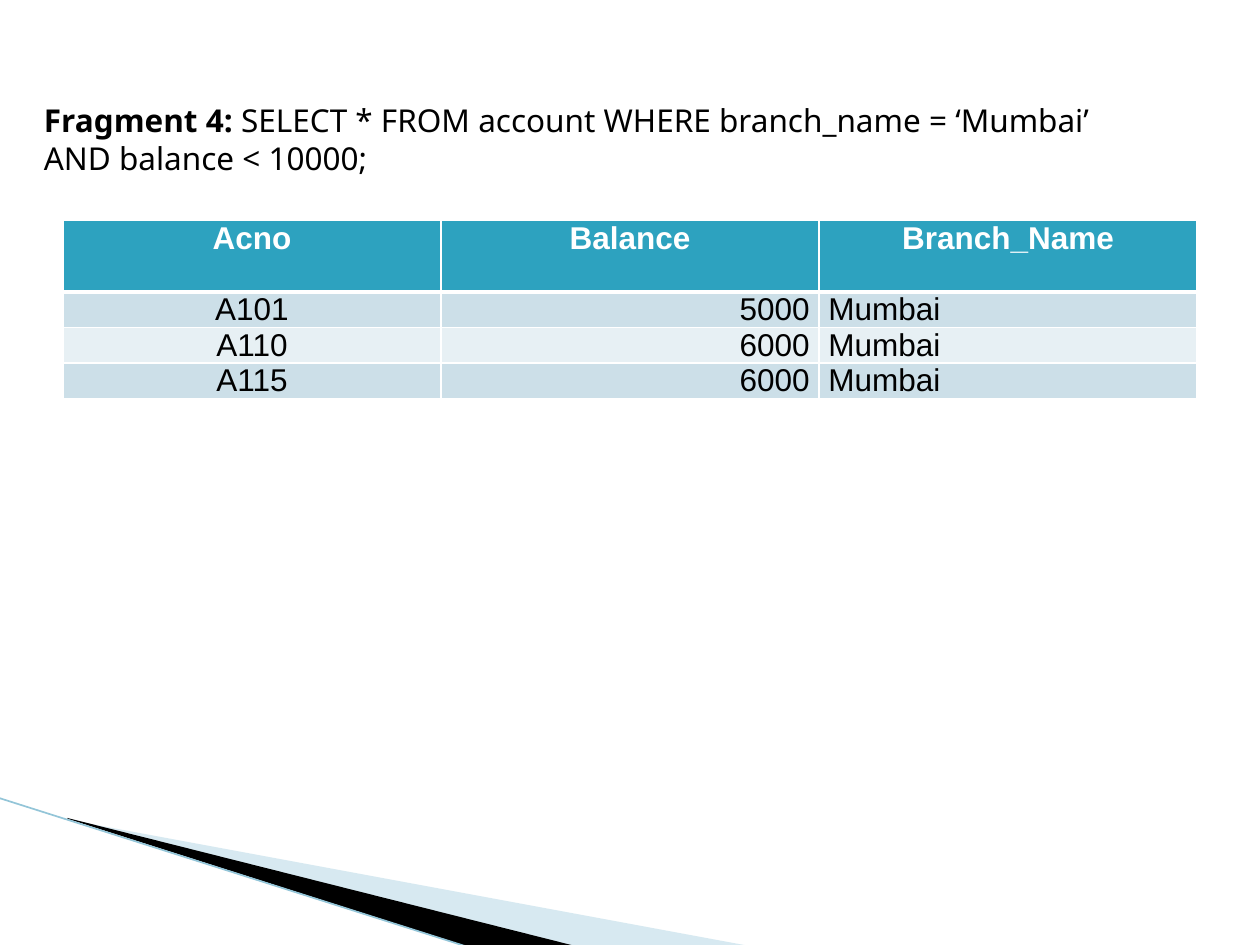
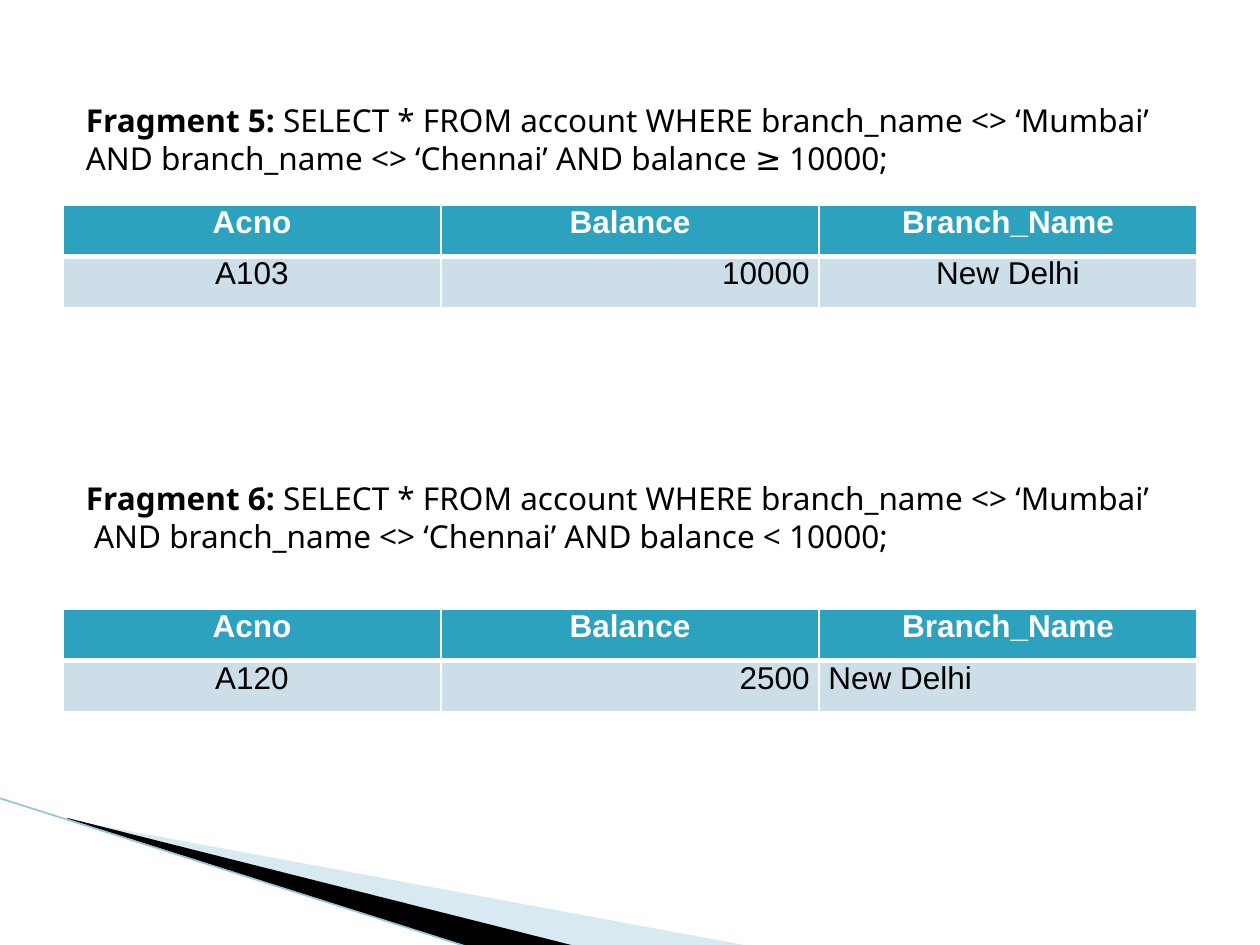
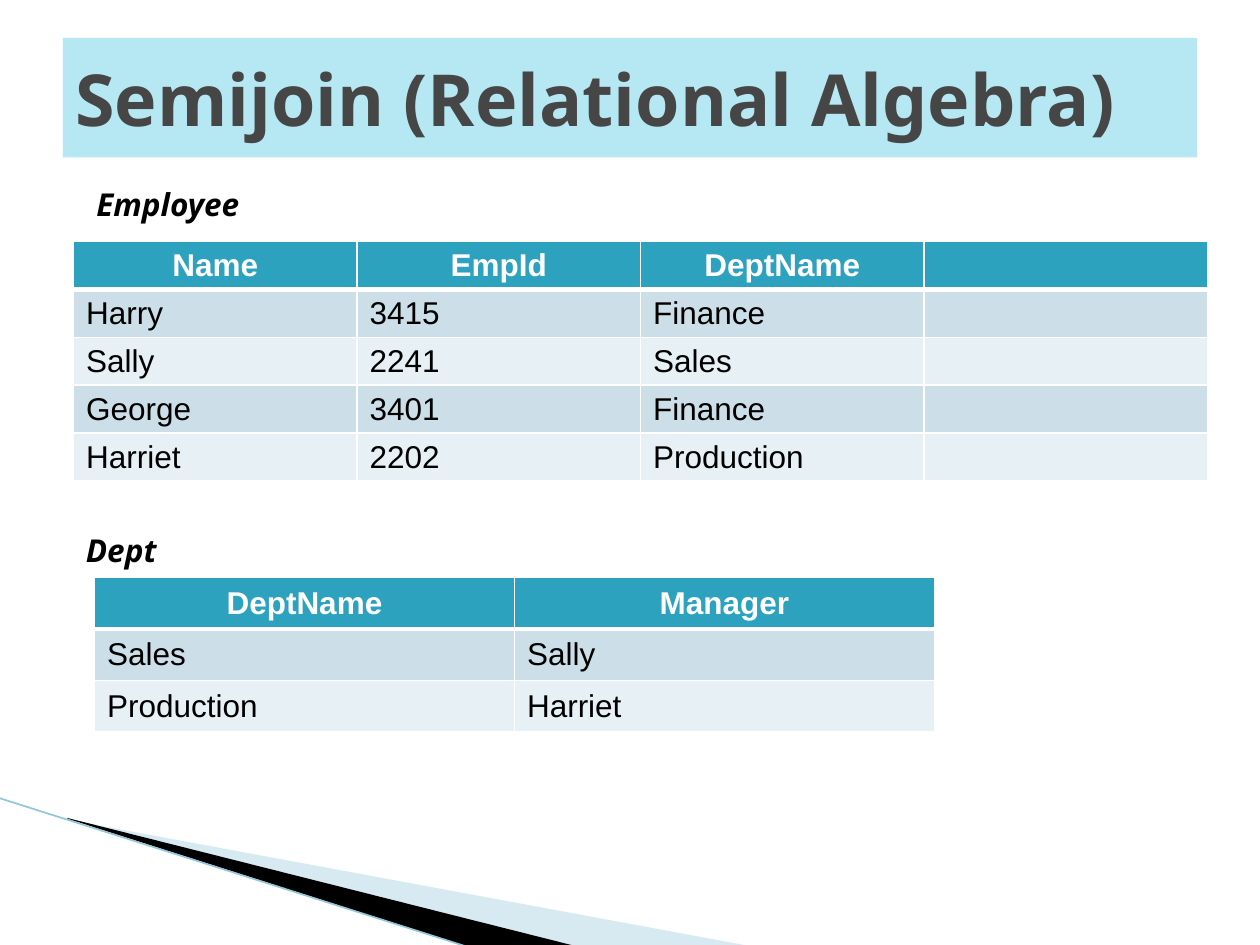
from dataclasses import dataclass

from lxml.etree import SubElement
from pptx import Presentation
from pptx.dml.color import RGBColor
from pptx.enum.shapes import MSO_CONNECTOR, MSO_SHAPE
from pptx.enum.text import MSO_ANCHOR, PP_ALIGN
from pptx.oxml.ns import qn
from pptx.slide import Slide
from pptx.table import _Cell
from pptx.text.text import TextFrame, _Paragraph
from pptx.util import Emu, Pt

PX = 7620  # 120 px to the inch
WIDTH, HEIGHT = 1200, 900

LEFT, CENTER, RIGHT = PP_ALIGN.LEFT, PP_ALIGN.CENTER, PP_ALIGN.RIGHT


@dataclass(frozen=True)
class Theme:
    text: str = "000000"
    title: str = "464646"
    title_band: str = "B5E8F3"
    header: str = "2DA2BF"
    header_text: str = "FFFFFF"
    rows: tuple[str, str] = ("CCDFE8", "E7F0F4")
    rule: str = "FFFFFF"
    wedge_light: str = "9CCADC"
    wedge_dark: str = "000000"
    wedge_edge: str = "93C5D8"
    text_font: str = "Noto Sans"
    table_font: str = "Arial"
    body_size: int = 18
    title_size: int = 41
    thin: int = 1
    thick: int = 3


THEME = Theme()


@dataclass(frozen=True)
class Box:
    x: int
    y: int
    w: int
    h: int

    def emu(self) -> tuple[Emu, ...]:
        return tuple(px(v) for v in (self.x, self.y, self.w, self.h))


@dataclass(frozen=True)
class Query:
    box: Box
    name: str
    lines: tuple[str, str]


@dataclass(frozen=True)
class Caption:
    box: Box
    text: str


@dataclass(frozen=True)
class Grid:
    x: int
    y: int
    col_width: int
    row_heights: tuple[int, ...]
    rows: tuple[tuple[str, ...], ...]
    aligns: tuple[PP_ALIGN, ...]
    margins: tuple[int, int] = (9, 0)
    anchor: MSO_ANCHOR = MSO_ANCHOR.TOP


@dataclass(frozen=True)
class Wedge:
    """A filled outline; its points may reach beyond its frame."""
    frame: Box
    points: tuple[tuple[int, int], ...]
    color: str
    opacity: int = 100


WEDGES = (
    Wedge(Box(94, 656, 499, 190), ((66, 781), (714, 901), (547, 901), (66, 780)),
          THEME.wedge_light, 40),
    Wedge(Box(-7, 760, 499, 110), ((64, 779), (548, 901), (447, 902), (65, 780)),
          THEME.wedge_dark),
)
WEDGE_EDGE = ((-1, 760), (446, 902))

ACCOUNT = ("Acno", "Balance", "Branch_Name")
ACCOUNT_ALIGNS = (CENTER, RIGHT, LEFT)

FRAGMENT_SLIDES = (
    (
        Grid(60, 210, 360, (68, 34, 34, 34),
             (ACCOUNT, ("A101", "5000", "Mumbai"), ("A110", "6000", "Mumbai"),
              ("A115", "6000", "Mumbai")), ACCOUNT_ALIGNS),
        Query(Box(30, 90, 1068, 85), "Fragment 4:",
              (" SELECT * FROM account WHERE branch_name = ‘Mumbai’",
               "AND balance < 10000;")),
    ),
    (
        Grid(60, 195, 360, (49, 49), (ACCOUNT, ("A103", "10000", "New Delhi")),
             (CENTER, RIGHT, CENTER)),
        Query(Box(70, 90, 1092, 85), "Fragment 5:",
              (" SELECT * FROM account WHERE branch_name <> ‘Mumbai’",
               "AND branch_name <> ‘Chennai’ AND balance ≥ 10000;")),
        Query(Box(70, 450, 1082, 157), "Fragment 6:",
              (" SELECT * FROM account WHERE branch_name <> ‘Mumbai’",
               " AND branch_name <> ‘Chennai’ AND balance < 10000;")),
        Grid(60, 580, 360, (49, 49), (ACCOUNT, ("A120", "2500", "New Delhi")),
             ACCOUNT_ALIGNS),
    ),
)

TITLE = Caption(Box(60, 36, 1080, 114), "Semijoin (Relational Algebra)")
SEMIJOIN_ITEMS = (
    Grid(70, 230, 270, (45,) * 5,
         (("Name", "EmpId", "DeptName", ""),
          ("Harry", "3415", "Finance", ""),
          ("Sally", "2241", "Sales", ""),
          ("George", "3401", "Finance", ""),
          ("Harriet", "2202", "Production", "")),
         (LEFT,) * 4, (12, 6)),
    Grid(90, 550, 400, (49,) * 3,
         (("DeptName", "Manager"), ("Sales", "Sally"), ("Production", "Harriet")),
         (LEFT,) * 2, (12, 6), MSO_ANCHOR.MIDDLE),
    Caption(Box(80, 170, 167, 48), "Employee"),
    Caption(Box(70, 500, 95, 48), "Dept"),
)


def px(value: int) -> Emu:
    return Emu(value * PX)


def rgb(color: str) -> RGBColor:
    return RGBColor.from_string(color)


def set_font(p: _Paragraph, name: str, color: str, size: int = THEME.body_size,
             bold: bool | None = None, italic: bool | None = None) -> None:
    font = p.font
    font.name, font.size, font.bold, font.italic = name, Pt(size), bold, italic
    font.color.rgb = rgb(color)


def add_wedge(s: Slide, wedge: Wedge) -> None:
    start, *rest = wedge.points
    builder = s.shapes.build_freeform(*start, scale=PX)
    builder.add_line_segments(rest, close=True)
    sp = builder.convert_to_shape()
    sp.shadow.inherit = False
    sp.fill.solid()
    sp.fill.fore_color.rgb = rgb(wedge.color)
    sp.line.fill.background()
    spPr = sp._element.spPr
    if wedge.opacity < 100:
        color = spPr.find(qn("a:solidFill"))[0]
        SubElement(color, qn("a:alpha"), val=str(wedge.opacity * 1000))

    frame = wedge.frame
    sp.left, sp.top, sp.width, sp.height = frame.emu()
    outline = next(spPr.iter(qn("a:path")))
    outline.set("w", str(frame.w))
    outline.set("h", str(frame.h))
    for pt, (x, y) in zip(outline.iter(qn("a:pt")), wedge.points):
        pt.set("x", str(x - frame.x))
        pt.set("y", str(y - frame.y))


def add_corner(s: Slide) -> None:
    """Draw the wedges and the edge line at the foot of every slide."""
    for wedge in WEDGES:
        add_wedge(s, wedge)
    ends = [px(v) for point in WEDGE_EDGE for v in point]
    edge = s.shapes.add_connector(MSO_CONNECTOR.STRAIGHT, *ends)
    edge.line.color.rgb = rgb(THEME.wedge_edge)
    edge.line.width = Pt(0.95)
    SubElement(edge._element.spPr, qn("a:effectLst"))


def add_text_box(s: Slide, box: Box) -> TextFrame:
    tf = s.shapes.add_textbox(*box.emu()).text_frame
    tf.word_wrap = True
    return tf


def add_query(s: Slide, query: Query) -> None:
    tf = add_text_box(s, query.box)
    first, second = tf.paragraphs[0], tf.add_paragraph()
    for p in (first, second):
        set_font(p, THEME.text_font, THEME.text)
    r = first.add_run()
    r.text = query.name
    r.font.bold = True
    for p, line in zip((first, second), query.lines):
        p.add_run().text = line


def add_caption(s: Slide, caption: Caption) -> None:
    p = add_text_box(s, caption.box).paragraphs[0]
    p.text = caption.text
    set_font(p, THEME.text_font, THEME.text, bold=True, italic=True)


def add_title(s: Slide, title: Caption) -> None:
    sp = s.shapes.add_shape(MSO_SHAPE.RECTANGLE, *title.box.emu())
    sp.shadow.inherit = False
    sp.fill.solid()
    sp.fill.fore_color.rgb = rgb(THEME.title_band)
    sp.line.fill.background()
    tf = sp.text_frame
    tf.word_wrap = True
    tf.vertical_anchor = MSO_ANCHOR.MIDDLE
    p = tf.paragraphs[0]
    p.text = title.text
    p.alignment = LEFT
    set_font(p, THEME.text_font, THEME.title, THEME.title_size, bold=True)


def set_borders(cell: _Cell, top: int, bottom: int) -> None:
    tcPr = cell._tc.get_or_add_tcPr()
    widths = {"L": THEME.thin, "R": THEME.thin, "T": top, "B": bottom}
    for i, (side, width) in enumerate(widths.items()):
        ln = tcPr.makeelement(qn(f"a:ln{side}"), {"w": str(Pt(width))})
        fill = SubElement(ln, qn("a:solidFill"))
        SubElement(fill, qn("a:srgbClr"), val=THEME.rule)
        tcPr.insert(i, ln)


def style_cell(cell: _Cell, grid: Grid, row: int, align: PP_ALIGN) -> None:
    is_header = row == 0
    side, edge = (px(v) for v in grid.margins)
    cell.margin_left = cell.margin_right = side
    cell.margin_top = cell.margin_bottom = edge
    cell.vertical_anchor = grid.anchor
    cell.fill.solid()
    cell.fill.fore_color.rgb = rgb(THEME.header if is_header else THEME.rows[(row - 1) % 2])
    set_borders(cell, THEME.thick if row == 1 else THEME.thin,
                THEME.thick if is_header else THEME.thin)
    p = cell.text_frame.paragraphs[0]
    p.alignment = CENTER if is_header else align
    set_font(p, THEME.table_font, THEME.header_text if is_header else THEME.text,
             bold=is_header)


def add_grid(s: Slide, grid: Grid) -> None:
    cols = len(grid.aligns)
    box = Box(grid.x, grid.y, grid.col_width * cols, sum(grid.row_heights))
    table = s.shapes.add_table(len(grid.rows), cols, *box.emu()).table
    for column in table.columns:
        column.width = px(grid.col_width)
    for i, (height, texts) in enumerate(zip(grid.row_heights, grid.rows)):
        table.rows[i].height = px(height)
        for j, (text, align) in enumerate(zip(texts, grid.aligns)):
            cell = table.cell(i, j)
            if text:
                cell.text = text
            style_cell(cell, grid, i, align)


DRAW = {Grid: add_grid, Query: add_query, Caption: add_caption}


def add_slide(prs: Presentation, items: tuple[Grid | Query | Caption, ...]) -> Slide:
    s = prs.slides.add_slide(prs.slide_layouts[6])
    add_corner(s)
    for item in items:
        DRAW[type(item)](s, item)
    return s


def main() -> None:
    prs = Presentation()
    prs.slide_width, prs.slide_height = px(WIDTH), px(HEIGHT)
    for items in FRAGMENT_SLIDES:
        add_slide(prs, items)
    add_title(add_slide(prs, SEMIJOIN_ITEMS), TITLE)
    prs.save("out.pptx")


if __name__ == "__main__":
    main()
